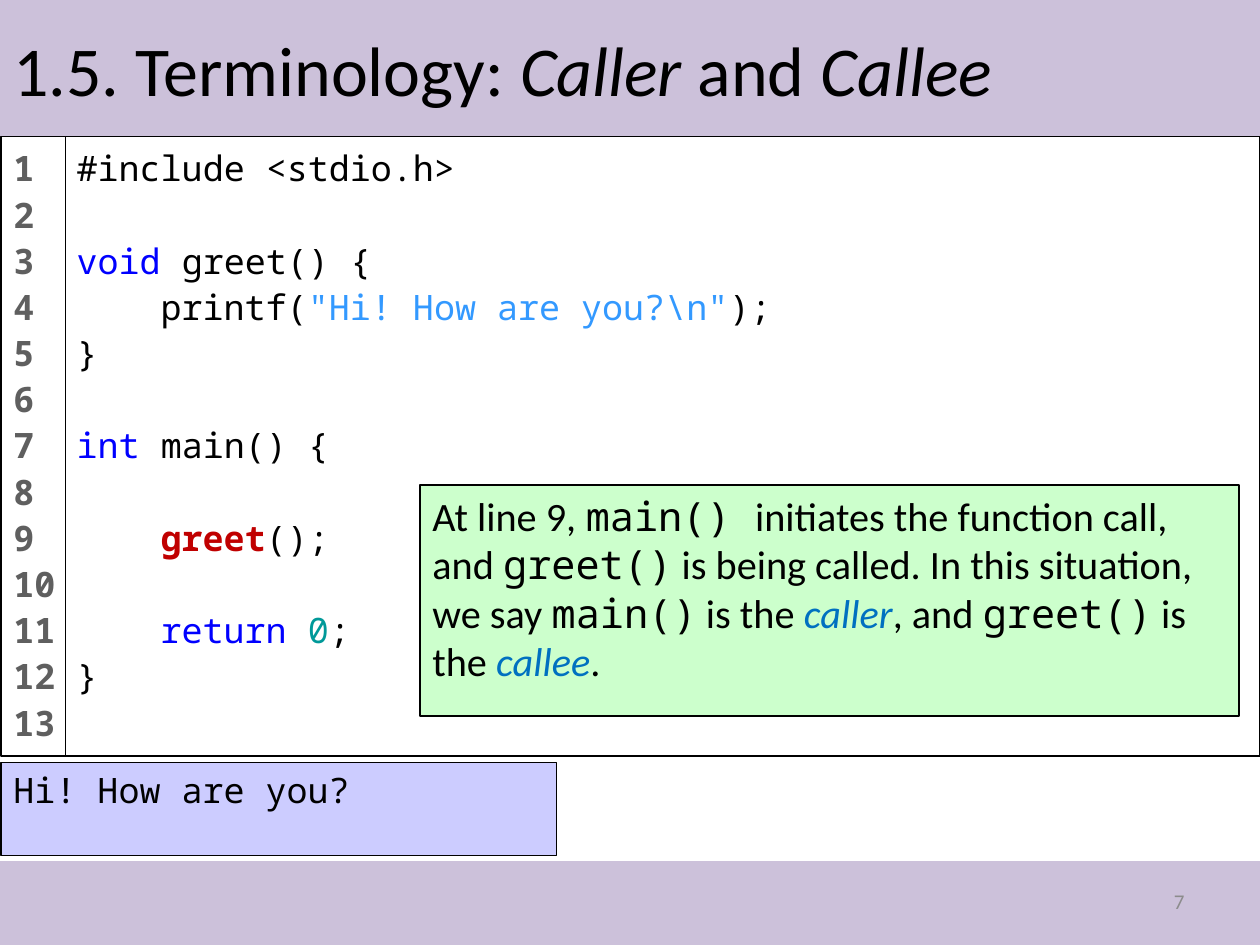
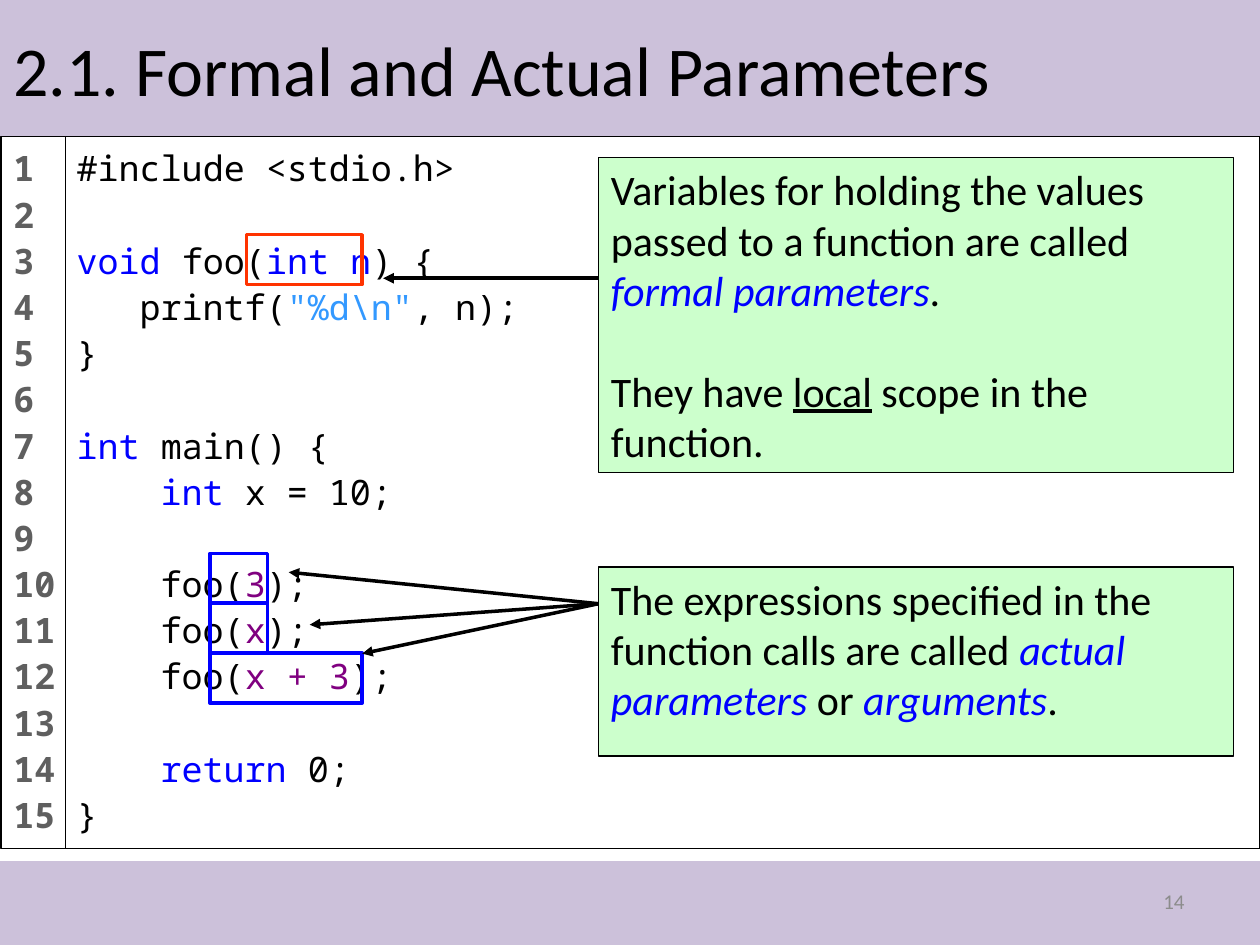
from dataclasses import dataclass

from lxml.etree import SubElement
from pptx import Presentation
from pptx.dml.color import RGBColor
from pptx.enum.shapes import MSO_CONNECTOR as Connector, MSO_SHAPE as Preset
from pptx.enum.text import MSO_ANCHOR as Anchor, PP_ALIGN as Align
from pptx.oxml.ns import qn
from pptx.util import Emu, Inches, Pt

# Grid: 240 columns by 180 rows of square cells
COLUMNS, ROWS = 240, 180
CELL = Inches(10) // COLUMNS
TITLE_ROWS = 26
FOOTER_ROW = 164
GUTTER = 12.25

# Colours
BLACK = RGBColor(0x00, 0x00, 0x00)
WHITE = RGBColor(0xFF, 0xFF, 0xFF)
BAND = RGBColor(0xCC, 0xC1, 0xDA)
PAGE_GREY = RGBColor(0x8C, 0x8C, 0x8C)
NUMBER_GREY = RGBColor(0x5F, 0x5F, 0x5F)
CONSOLE = RGBColor(0xCC, 0xCC, 0xFF)
CALLOUT = RGBColor(0xCC, 0xFF, 0xCC)
KEYWORD = RGBColor(0x00, 0x00, 0xFF)
STRING = RGBColor(0x33, 0x99, 0xFF)
DIGIT = RGBColor(0x00, 0x99, 0x99)
CALL = RGBColor(0xC0, 0x00, 0x00)
ARGUMENT = RGBColor(0x80, 0x00, 0x80)
TERM = RGBColor(0x00, 0x70, 0xC0)
FORMAL_FRAME = RGBColor(0xFF, 0x33, 0x00)

# Type
SANS, MONO = "Calibri", "Noto Sans Mono"
CODE_SIZE = 20
CODE_SPACING = 1.1
LINE_HEIGHT = 1.2  # share of the text size
CHARACTER_WIDTH = 0.6  # share of the text size, monospaced


@dataclass(frozen=True)
class Box:
    left: float
    top: float
    width: float
    height: float


@dataclass(frozen=True)
class Run:
    text: str
    color: RGBColor = BLACK
    font: str = SANS
    bold: bool = False
    italic: bool = False
    underline: bool = False


@dataclass(frozen=True)
class Line:
    runs: tuple[Run, ...]
    indent: int = 0  # characters
    gap: int = 0  # empty lines above


@dataclass(frozen=True)
class Callout:
    box: Box
    size: int
    lines: tuple[Line, ...]


@dataclass(frozen=True)
class Arrow:
    start: tuple[float, float]
    tip: tuple[float, float]


def cells(count: float) -> Emu:
    return Emu(round(count * CELL))


def place(box: Box) -> tuple[Emu, ...]:
    return tuple(cells(n) for n in (box.left, box.top, box.width, box.height))


# Short forms for code and prose
def code(text: str, color: RGBColor = BLACK, bold: bool = False) -> Run:
    return Run(text, color, MONO, bold)


def term(text: str, color: RGBColor = KEYWORD) -> Run:
    return Run(text, color, italic=True)


def line(*runs: Run, indent: int = 0, gap: int = 0) -> Line:
    return Line(runs, indent, gap)


# Drawing
def write(shape, lines: tuple[Line, ...], size: int, spacing: float = 1.0,
          anchor: Anchor = Anchor.TOP, align: Align = Align.LEFT, wrap: bool = True) -> None:
    frame = shape.text_frame
    frame.word_wrap = wrap
    frame.vertical_anchor = anchor
    for index, item in enumerate(lines):
        paragraph = frame.add_paragraph() if index else frame.paragraphs[0]
        paragraph.alignment = align
        paragraph.line_spacing = spacing
        paragraph.space_before = Pt(item.gap * size * LINE_HEIGHT * spacing)
        if item.indent:
            margin = Pt(item.indent * size * CHARACTER_WIDTH)
            paragraph._p.get_or_add_pPr().set("marL", str(margin))
        for part in item.runs:
            run = paragraph.add_run()
            run.text = part.text
            font = run.font
            font.name, font.size = part.font, Pt(size)
            font.color.rgb = part.color
            font.bold, font.italic = part.bold, part.italic
            font.underline = part.underline


def add_box(slide, box: Box, fill: RGBColor | None = None,
            outline: RGBColor | None = None, weight: float = 0.75):
    shape = slide.shapes.add_shape(Preset.RECTANGLE, *place(box))
    shape.shadow.inherit = False
    if fill is None:
        shape.fill.background()
    else:
        shape.fill.solid()
        shape.fill.fore_color.rgb = fill
    if outline is None:
        shape.line.fill.background()
    else:
        shape.line.color.rgb = outline
        shape.line.width = Pt(weight)
    return shape


def add_arrow(slide, arrow: Arrow) -> None:
    ends = (cells(n) for n in arrow.start + arrow.tip)
    connector = slide.shapes.add_connector(Connector.STRAIGHT, *ends)
    connector.line.color.rgb = BLACK
    connector.line.width = Pt(2)
    SubElement(connector.line._get_or_add_ln(), qn("a:tailEnd"), type="triangle")
    SubElement(connector._element.spPr, qn("a:effectLst"))


def add_callout(slide, callout: Callout) -> None:
    write(add_box(slide, callout.box, CALLOUT, BLACK), callout.lines, callout.size)


def add_listing(slide, lines: tuple[Line, ...], count: int, height: float) -> None:
    body = add_box(slide, Box(GUTTER, TITLE_ROWS, COLUMNS - GUTTER, height), WHITE, BLACK)
    write(body, lines, CODE_SIZE, CODE_SPACING)
    numbers = tuple(line(code(str(n), NUMBER_GREY, bold=True)) for n in range(1, count + 1))
    gutter = add_box(slide, Box(0.2, TITLE_ROWS, GUTTER, height), WHITE, BLACK)
    write(gutter, numbers, CODE_SIZE, CODE_SPACING, wrap=False)


def add_slide(presentation, title: Line, page: int):
    slide = presentation.slides.add_slide(presentation.slide_layouts[6])
    add_box(slide, Box(0, 0, COLUMNS, TITLE_ROWS), BAND)
    add_box(slide, Box(0, FOOTER_ROW, COLUMNS, ROWS - FOOTER_ROW), BAND)
    heading = slide.shapes.add_textbox(*place(Box(0.2, 0, COLUMNS - 0.2, TITLE_ROWS)))
    write(heading, (title,), 40, anchor=Anchor.MIDDLE)
    number = slide.shapes.add_textbox(*place(Box(172, 166.8, 56, 9.6)))
    write(number, (line(Run(str(page), PAGE_GREY)),), 12,
          anchor=Anchor.MIDDLE, align=Align.RIGHT)
    return slide


# Caller and callee
GREET_CODE = (
    line(code("#include <stdio.h>")),
    line(code("void ", KEYWORD), code("greet() {"), gap=1),
    line(code("printf("), code('"Hi! How are you?\\n"', STRING), code(");"), indent=4),
    line(code("}")),
    line(code("int", KEYWORD), code(" main() {"), gap=1),
    line(code("greet", CALL, bold=True), code("();"), indent=4, gap=1),
    line(code("return ", KEYWORD), code("0", DIGIT), code(";"), indent=4, gap=1),
    line(code("}")),
)
CALLER_NOTE = Callout(Box(80, 92.4, 156, 44), 23, (
    line(Run("At line 9, "), code("main() "), Run("initiates the function call, and "),
         code("greet()"), Run(" is being called. In this situation, we say "),
         code("main()"), Run(" is the "), term("caller", TERM), Run(", and "),
         code("greet()"), Run(" is the "), term("callee", TERM), Run(".")),
))


def build_caller_slide(presentation) -> None:
    title = line(Run("1.5. Terminology: "), term("Caller ", BLACK),
                 Run("and "), term("Callee", BLACK))
    slide = add_slide(presentation, title, 7)
    add_listing(slide, GREET_CODE, 13, 118)
    console = add_box(slide, Box(0.2, 145.2, 105.8, 17.8), CONSOLE, BLACK)
    write(console, (line(code("Hi! How are you?")),), CODE_SIZE)
    add_callout(slide, CALLER_NOTE)


# Formal and actual parameters
FOO_CODE = (
    line(code("#include <stdio.h>")),
    line(code("void", KEYWORD), code(" foo("), code("int n", KEYWORD), code(") {"), gap=1),
    line(code("printf("), code('"%d\\n"', STRING), code(", n);"), indent=3),
    line(code("}")),
    line(code("int", KEYWORD), code(" main() {"), gap=1),
    line(code("int", KEYWORD), code(" x = 10;"), indent=4),
    *(line(code("foo("), code(value, ARGUMENT), code(");"), indent=4, gap=gap)
      for value, gap in (("3", 1), ("x", 0), ("x + 3", 0))),
    line(code("return", KEYWORD), code(" 0;"), indent=4, gap=1),
    line(code("}")),
)
NOTE_LEFT, NOTE_WIDTH = 114, 121
PARAMETER_NOTES = (
    Callout(Box(NOTE_LEFT, 30, NOTE_WIDTH, 60), 24, (
        line(Run("Variables for holding the values passed to a function are called "),
             term("formal parameters"), Run(".")),
        line(Run("They have "), Run("local", underline=True),
             Run(" scope in the function."), gap=1),
    )),
    Callout(Box(NOTE_LEFT, 108, NOTE_WIDTH, 36), 24, (
        line(Run("The expressions specified in the function calls are called "),
             term("actual parameters"), Run(" or "), term("arguments"), Run(".")),
    )),
)
FRAME_HEIGHT = 9.5
ARGUMENT_WIDTHS = (11, 11, 29)
ARROWS = (
    Arrow((NOTE_LEFT, 53), (73, 53)),
    *(Arrow((NOTE_LEFT, 115), tip) for tip in ((55, 109), (59, 119), (69, 124.5))),
)


def build_parameter_slide(presentation) -> None:
    slide = add_slide(presentation, line(Run("2.1. Formal and Actual Parameters")), 14)
    add_listing(slide, FOO_CODE, 15, 135.6)
    for callout in PARAMETER_NOTES:
        add_callout(slide, callout)
    # Frames around the parameters
    add_box(slide, Box(47, 44.7, 22, FRAME_HEIGHT), outline=FORMAL_FRAME, weight=2)
    for index, width in enumerate(ARGUMENT_WIDTHS):
        frame = Box(40, 105.4 + index * FRAME_HEIGHT, width, FRAME_HEIGHT)
        add_box(slide, frame, outline=KEYWORD, weight=2)
    for arrow in ARROWS:
        add_arrow(slide, arrow)


def main() -> None:
    presentation = Presentation()
    presentation.slide_width = cells(COLUMNS)
    presentation.slide_height = cells(ROWS)
    build_caller_slide(presentation)
    build_parameter_slide(presentation)
    presentation.save("out.pptx")


if __name__ == "__main__":
    main()
